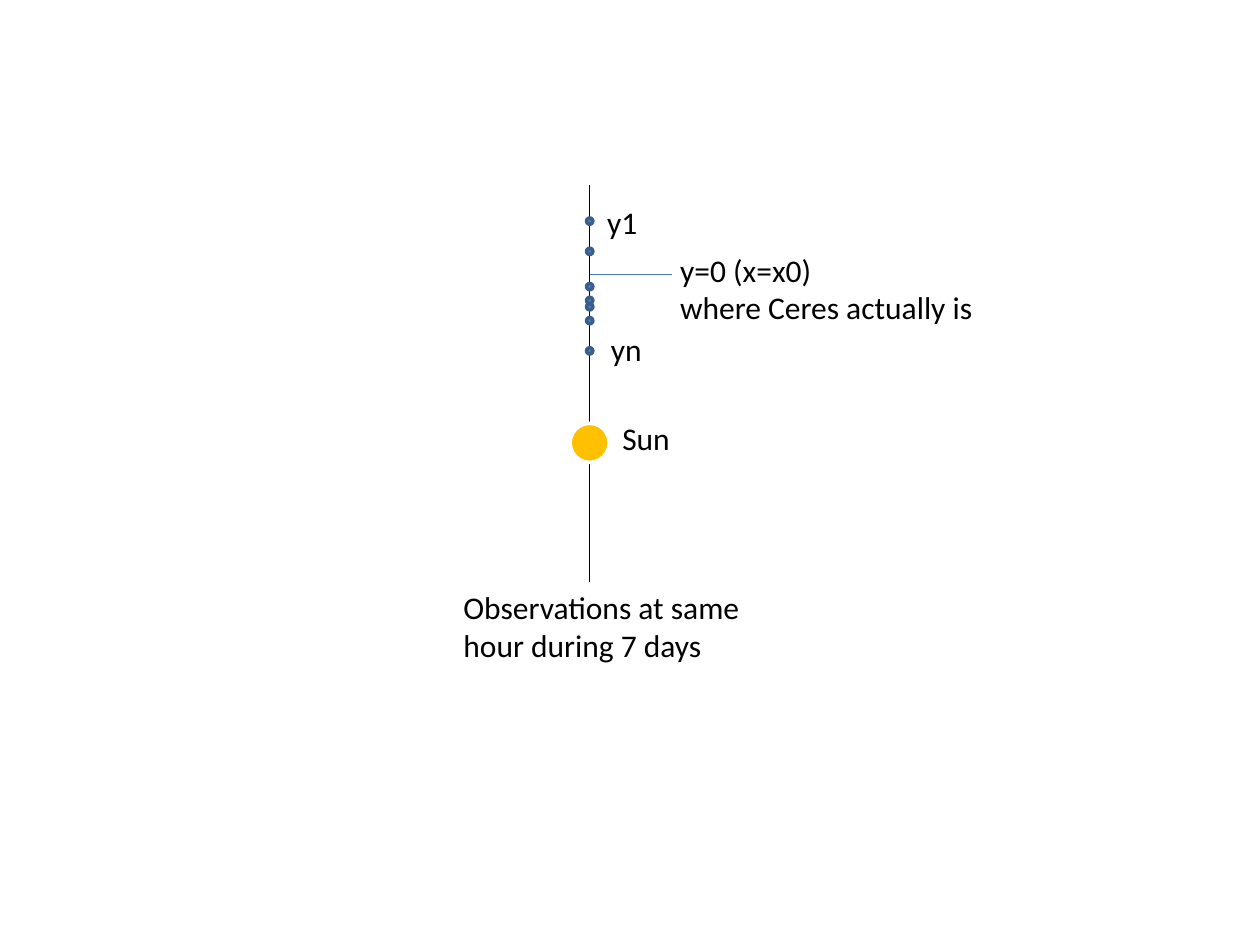
"""Draw seven observations of Ceres on an axis through the Sun."""
from lxml import etree
from pptx import Presentation
from pptx.dml.color import RGBColor
from pptx.enum.shapes import MSO_CONNECTOR, MSO_SHAPE
from pptx.enum.text import MSO_AUTO_SIZE
from pptx.oxml.ns import qn
from pptx.util import Inches, Pt

LINE = MSO_CONNECTOR.STRAIGHT
OVAL = MSO_SHAPE.OVAL
FIT = MSO_AUTO_SIZE.SHAPE_TO_FIT_TEXT
COLORS = {"ink": "000000", "dot": "4F81BD", "rim": "3A5F8C",
          "mark": "4B7EBC", "sun": "FFC000", "paper": "FFFFFF"}

AXIS = 4.68
DOT = 0.05
SUN = 0.31
DAYS = [1.73, 1.97, 2.25, 2.36, 2.41, 2.52, 2.76]
LINES = [
    ((AXIS, 1.47), (AXIS, 4.62), "ink"),
    ((AXIS, 2.18), (5.33, 2.18), "mark"),
]
LABELS = [
    (["y1"], (4.72, 1.56, 0.44, 0.4), False),
    (["yn"], (4.75, 2.57, 0.45, 0.4), False),
    (["y=0 (x=x0) ", "where Ceres actually is"], (5.3, 1.94, 2.55, 0.71), False),
    (["Sun"], (4.84, 3.28, 0.58, 0.4), False),
    (["Observations at same hour during 7 days"], (3.58, 4.62, 2.6, 0.71), True),
]


def color(name):
    return RGBColor.from_string(COLORS[name])


def add_line(start, end, hue):
    line = slide.shapes.add_connector(LINE, *map(Inches, start + end))
    line.line.color.rgb = color(hue)
    line.line.width = Pt(0.75)
    etree.SubElement(line._element.spPr, qn("a:effectLst"))


def add_disc(left, top, size, fill, rim):
    disc = slide.shapes.add_shape(OVAL, *map(Inches, (left, top, size, size)))
    disc.shadow.inherit = False
    disc.fill.solid()
    disc.fill.fore_color.rgb = color(fill)
    disc.line.color.rgb = color(rim)
    disc.line.width = Pt(2)


def add_label(rows, box, wrap):
    frame = slide.shapes.add_textbox(*map(Inches, box)).text_frame
    frame.text = "\n".join(rows)
    frame.word_wrap = wrap
    frame.auto_size = FIT
    for para in frame.paragraphs:
        for run in para.runs:
            run.font.name = "Calibri"
            run.font.size = Pt(18)
            run.font.color.rgb = color("ink")


deck = Presentation()
deck.slide_width, deck.slide_height = Inches(10), Inches(7.5)
slide = deck.slides.add_slide(deck.slide_layouts[6])

for item in LINES:
    add_line(*item)
for top in DAYS:
    add_disc(AXIS - DOT / 2, top, DOT, "dot", "rim")
add_disc(AXIS - SUN / 2, 3.36, SUN, "sun", "paper")
for item in LABELS:
    add_label(*item)

deck.save("out.pptx")
